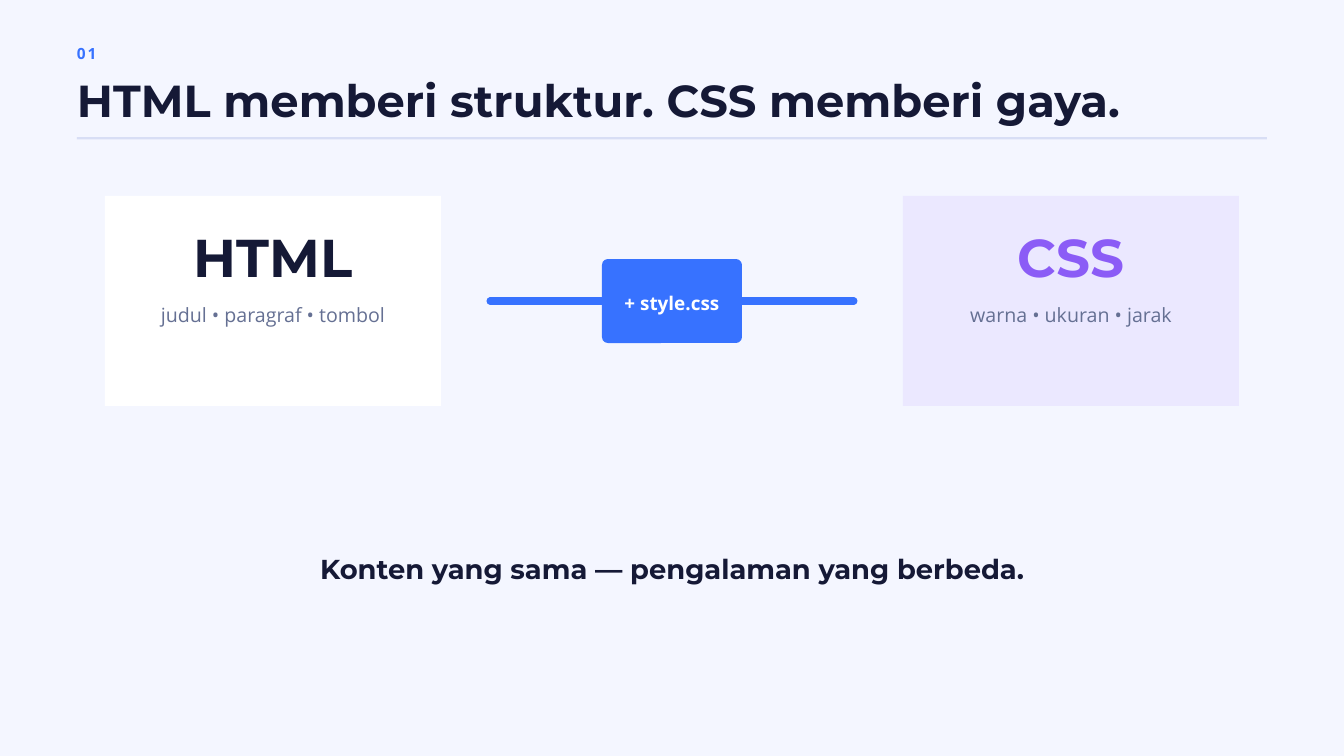
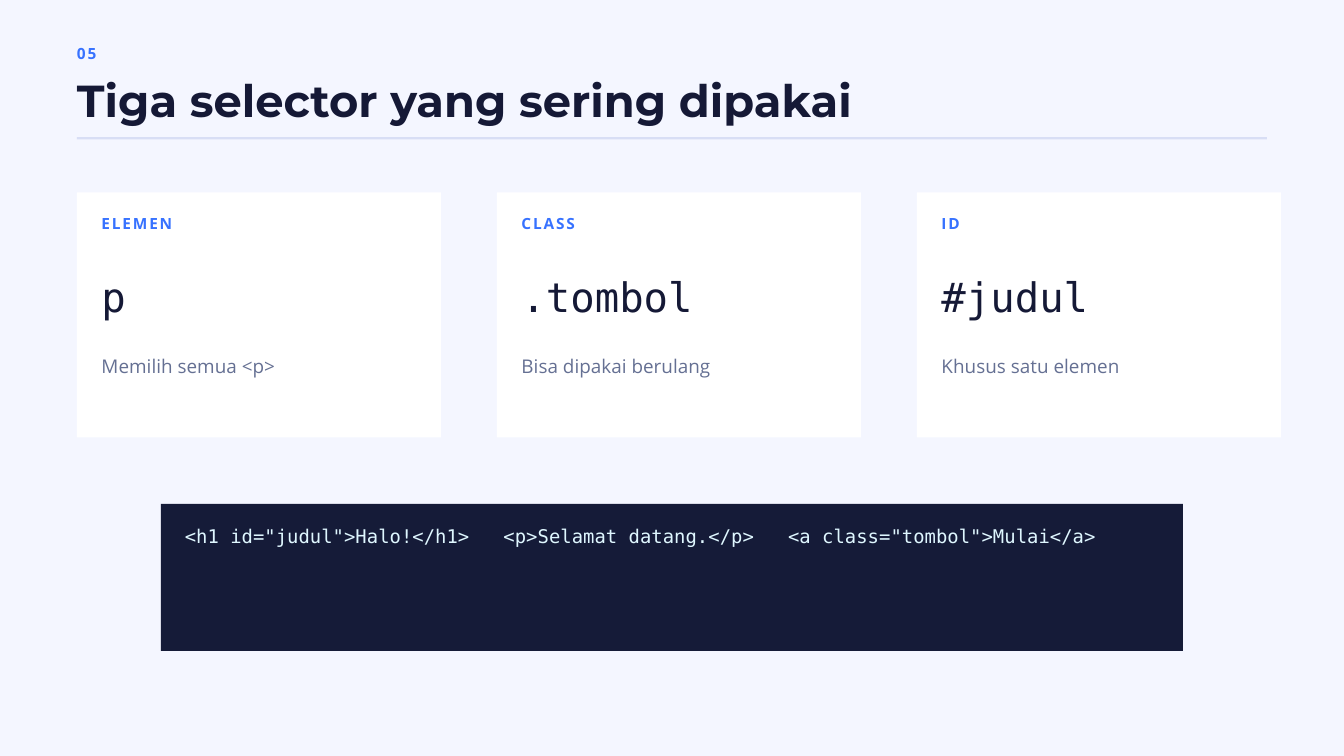
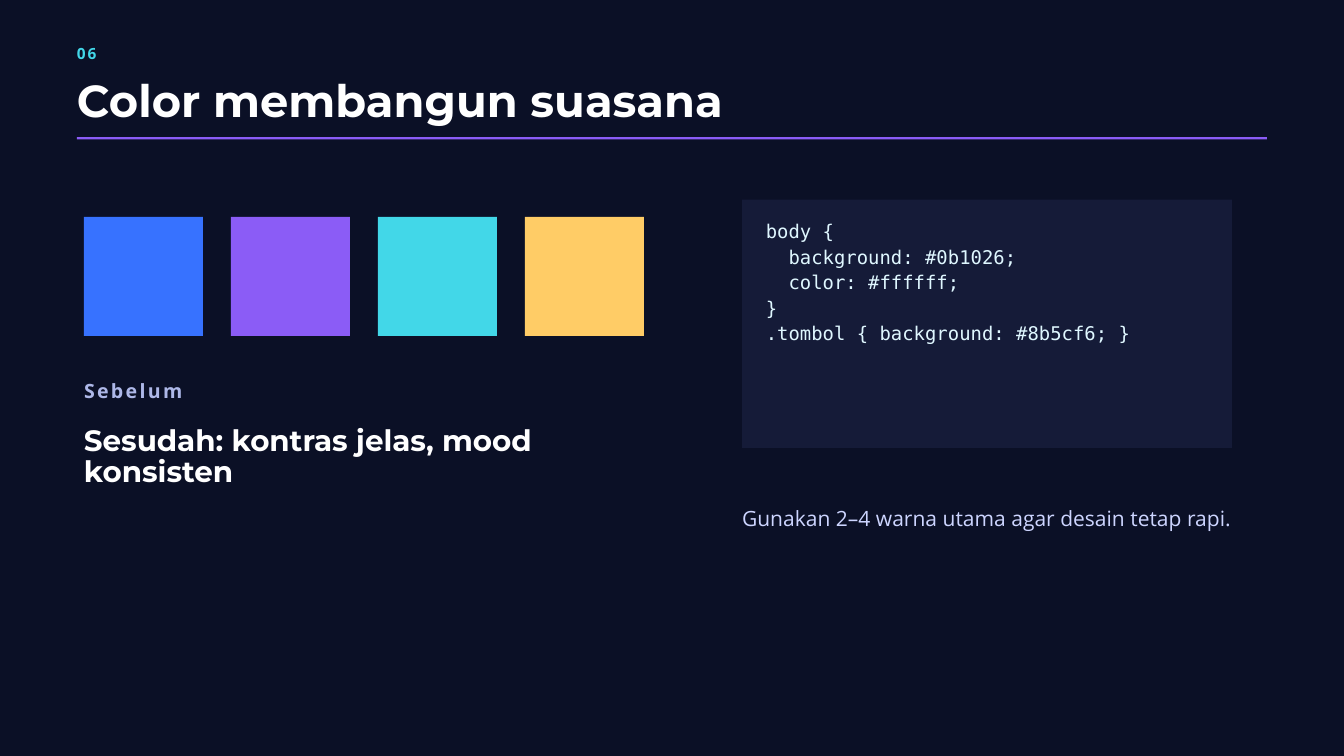
from lxml.etree import SubElement
from pptx import Presentation
from pptx.dml.color import RGBColor
from pptx.enum.shapes import MSO_CONNECTOR as CONNECTOR, MSO_SHAPE as SHAPE
from pptx.enum.text import MSO_ANCHOR as ANCHOR, MSO_AUTO_SIZE as AUTO, PP_ALIGN as ALIGN
from pptx.oxml.ns import qn
from pptx.util import Emu, Pt

HEAD, BODY, MONO = "Montserrat", "Open Sans", "DejaVu Sans Mono"
LINE_RATIO = {HEAD: 1.05, BODY: 1.4, MONO: 1.35}

PAPER, NIGHT, PANEL = "F4F6FF", "0B1026", "151B38"
INK, MUTED, RULE, WHITE = "151936", "657093", "D8DEF5", "FFFFFF"
BLUE, PURPLE, CYAN, YELLOW = "3772FF", "8B5CF6", "42D7E8", "FFCC66"
LILAC, CODE, SOFT, PALE = "EBE8FF", "DFF7FF", "AEB8E8", "CDD5FF"


def px(n):
    return Emu(n * 9525)


def rgb(color):
    return RGBColor.from_string(color)


def write(s, text, font=BODY, size=21, color=INK, bold=False, align=ALIGN.LEFT,
          anchor=ANCHOR.TOP, spacing=0):
    tf = s.text_frame
    tf.word_wrap = True
    tf.auto_size = AUTO.NONE
    tf.vertical_anchor = anchor
    tf.margin_left = tf.margin_right = tf.margin_top = tf.margin_bottom = 0
    for i, line in enumerate(text.split("\n")):
        p = tf.add_paragraph() if i else tf.paragraphs[0]
        p.alignment = align
        p.line_spacing = Pt(round(size * LINE_RATIO[font], 1))
        r = p.add_run()
        r.text = line
        r.font.name, r.font.size, r.font.bold = font, Pt(size), bold
        r.font.color.rgb = rgb(color)
        if spacing:
            r.font._element.set("spc", str(int(spacing * 100)))


def add_text(slide, x, y, w, h, text, **style):
    write(slide.shapes.add_textbox(px(x), px(y), px(w), px(h)), text, **style)


def add_box(slide, x, y, w, h, color, shape=SHAPE.RECTANGLE):
    s = slide.shapes.add_shape(shape, px(x), px(y), px(w), px(h))
    s.shadow.inherit = False
    s.fill.solid()
    s.fill.fore_color.rgb = rgb(color)
    s.line.fill.background()
    return s


def add_line(slide, x1, x2, y, color, width):
    s = slide.shapes.add_connector(CONNECTOR.STRAIGHT, px(x1), px(y), px(x2), px(y))
    s.line.color.rgb = rgb(color)
    s.line.width = Pt(width)
    spPr = s._element.spPr
    spPr.find(qn("a:ln")).set("cap", "rnd")
    SubElement(spPr, qn("a:effectLst"))


def add_label(slide, x, y, w, text, color=BLUE):
    add_text(slide, x, y, w, 30, text, size=16.5, color=color, bold=True, spacing=2)


def add_slide(prs, number, title, bg=PAPER, accent=BLUE, ink=INK, rule=RULE):
    slide = prs.slides.add_slide(prs.slide_layouts[5])
    slide.background.fill.solid()
    slide.background.fill.fore_color.rgb = rgb(bg)
    s = slide.shapes.title
    s.left, s.top, s.width, s.height = px(110), px(113), px(1500), px(68)
    write(s, title, font=HEAD, size=48, color=ink, bold=True)
    add_label(slide, 110, 58, 180, number, accent)
    add_box(slide, 110, 196, 1700, 3, rule)
    return slide


def add_language_card(slide, x, name, parts, fill, color):
    add_box(slide, x, 280, 480, 300, fill)
    add_text(slide, x + 30, 332, 420, 84, name, font=HEAD, size=57, color=color,
             bold=True, align=ALIGN.CENTER)
    add_text(slide, x + 30, 427, 420, 36, parts, color=MUTED, align=ALIGN.CENTER)


def add_selector_card(slide, x, kind, selector, note):
    add_box(slide, x, 275, 520, 350, WHITE)
    add_label(slide, x + 35, 302, 460, kind)
    add_text(slide, x + 35, 380, 460, 75, selector, font=MONO, size=43.5)
    add_text(slide, x + 35, 501, 460, 36, note, size=20.25, color=MUTED)


def add_code(slide, x, y, w, h, code):
    add_box(slide, x, y, w, h, PANEL)
    add_text(slide, x + 34, y + 25, w - 68, h - 50, code, font=MONO, size=20.25, color=CODE)


def structure_slide(prs):
    slide = add_slide(prs, "01", "HTML memberi struktur. CSS memberi gaya.")
    add_language_card(slide, 150, "HTML", "judul • paragraf • tombol", WHITE, INK)
    add_line(slide, 700, 1220, 430, BLUE, 7.5)
    button = add_box(slide, 860, 370, 200, 120, BLUE, SHAPE.ROUNDED_RECTANGLE)
    button.adjustments[0] = 0.07
    write(button, "+ style.css", size=20.25, color=WHITE, bold=True,
          align=ALIGN.CENTER, anchor=ANCHOR.MIDDLE)
    add_language_card(slide, 1290, "CSS", "warna • ukuran • jarak", LILAC, PURPLE)
    add_text(slide, 455, 795, 1010, 41, "Konten yang sama — pengalaman yang berbeda.",
             font=HEAD, size=29.25, bold=True, align=ALIGN.CENTER)


def selector_slide(prs):
    slide = add_slide(prs, "05", "Tiga selector yang sering dipakai")
    cards = [
        ("ELEMEN", "p", "Memilih semua <p>"),
        ("CLASS", ".tombol", "Bisa dipakai berulang"),
        ("ID", "#judul", "Khusus satu elemen"),
    ]
    for i, card in enumerate(cards):
        add_selector_card(slide, 110 + 600 * i, *card)
    add_code(slide, 230, 720, 1460, 210,
             '<h1 id="judul">Halo!</h1>   <p>Selamat datang.</p>   <a class="tombol">Mulai</a>')


def color_slide(prs):
    slide = add_slide(prs, "06", "Color membangun suasana", NIGHT, CYAN, WHITE, PURPLE)
    for i, swatch in enumerate([BLUE, PURPLE, CYAN, YELLOW]):
        add_box(slide, 120 + 210 * i, 310, 170, 170, swatch)
    add_code(slide, 1060, 285, 700, 355,
             "body {\n  background: #0b1026;\n  color: #ffffff;\n}\n"
             ".tombol { background: #8b5cf6; }")
    add_text(slide, 120, 536, 400, 37, "Sebelum", color=SOFT, bold=True, spacing=2.5)
    add_text(slide, 120, 609, 780, 90, "Sesudah: kontras jelas, mood konsisten",
             font=HEAD, size=31.5, color=WHITE, bold=True)
    add_text(slide, 1060, 716, 700, 40, "Gunakan 2–4 warna utama agar desain tetap rapi.",
             size=22.5, color=PALE)


def main():
    prs = Presentation()
    prs.slide_width, prs.slide_height = px(1920), px(1080)
    structure_slide(prs)
    selector_slide(prs)
    color_slide(prs)
    prs.save("out.pptx")


if __name__ == "__main__":
    main()
